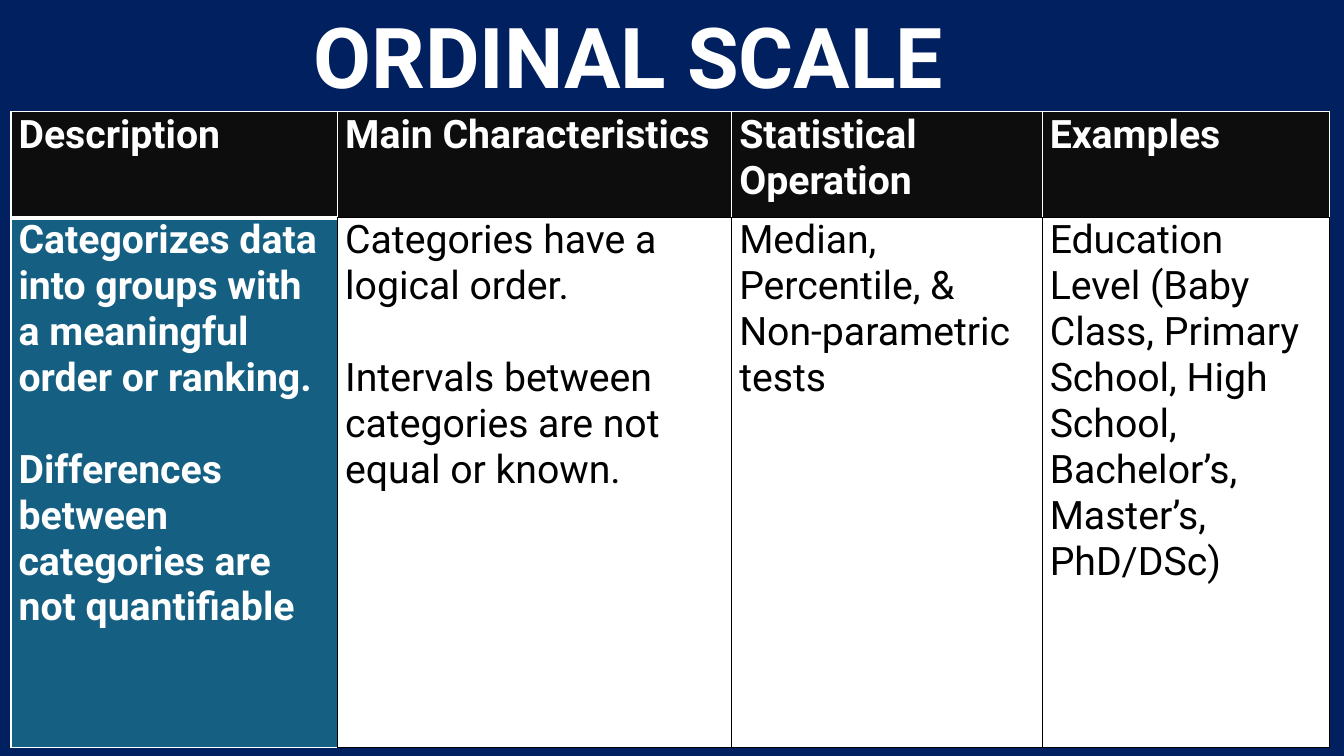
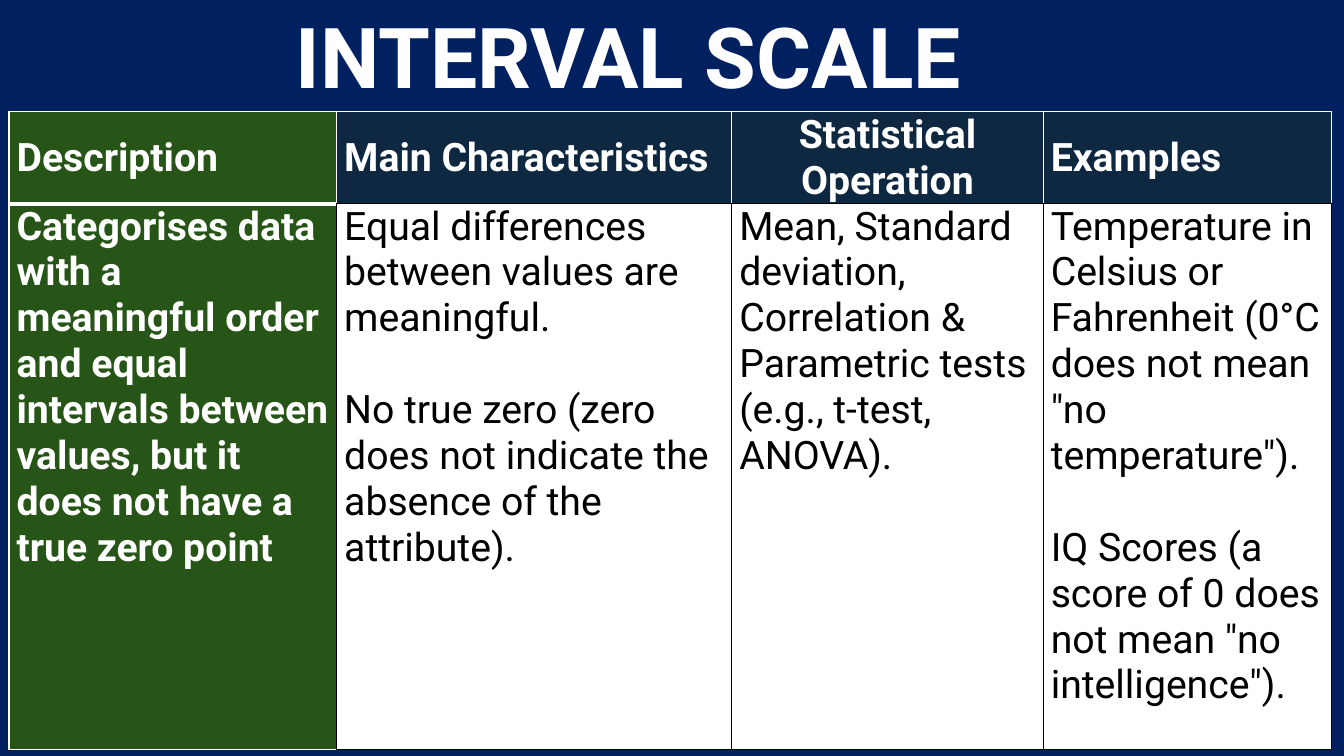
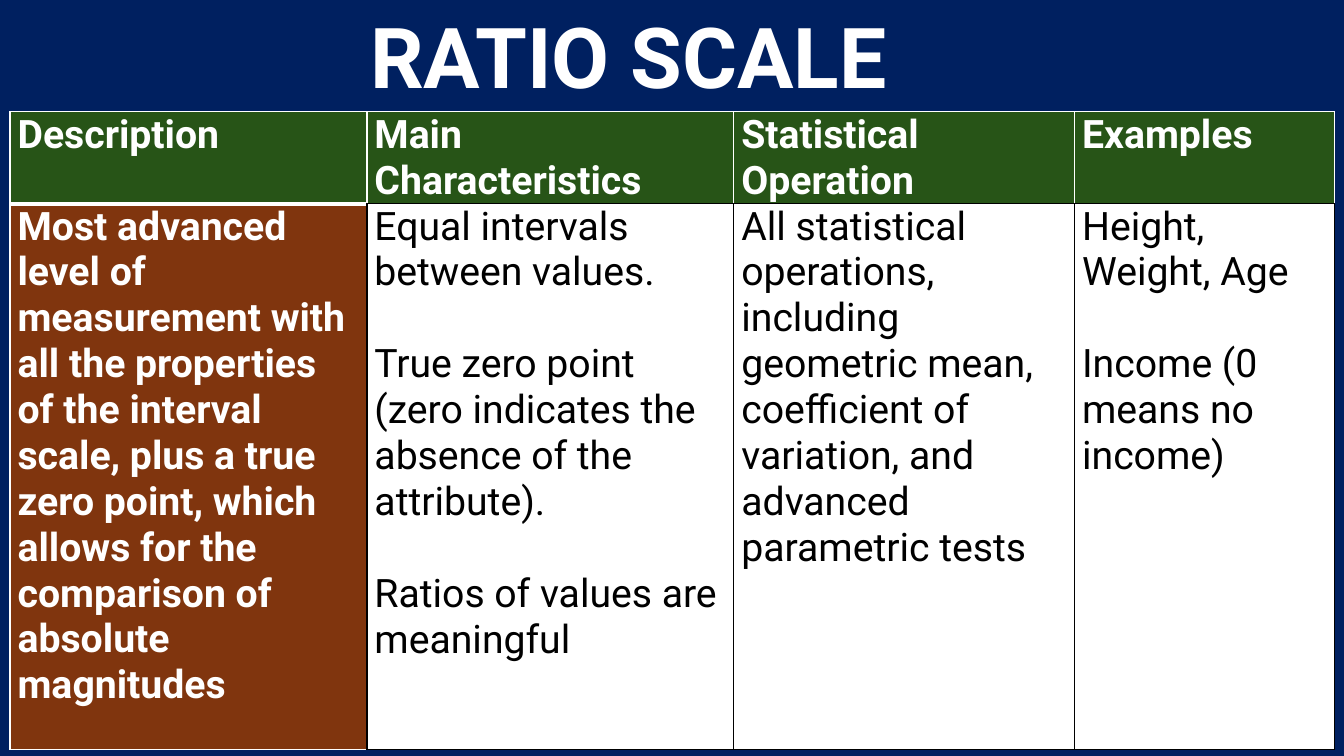
import dataclasses

import pptx
import pptx.dml.color
import pptx.enum.text
import pptx.oxml
import pptx.oxml.ns
import pptx.util

Pt = pptx.util.Pt
Align = pptx.enum.text.PP_ALIGN
Anchor = pptx.enum.text.MSO_ANCHOR


@dataclasses.dataclass(frozen=True)
class Theme:
    font: str = "Roboto"
    title: int = 60
    text: int = 28
    gap: float = 32.8
    inset: float = 5.4
    navy: str = "002060"
    white: str = "FFFFFF"
    black: str = "000000"
    coal: str = "0D0D0D"
    teal: str = "156082"
    green: str = "275417"
    ink: str = "0E2841"
    rust: str = "80350E"


@dataclasses.dataclass(frozen=True)
class Scale:
    """One slide: its title, table layout, colours and cell texts."""
    title: str
    left: float
    cols: tuple
    rows: tuple
    heads: tuple
    side: str
    body: tuple
    anchor: Anchor = Anchor.TOP
    center: tuple = ()


T = Theme()
TOP = 79.9
LABELS = ("Description", "Main Characteristics", "Statistical Operation",
          "Examples")

SCALES = (
    Scale(
        "ORDINAL SCALE", 7.9, (233.3, 281.5, 221.8, 205.2), (75.6, 378.7),
        (T.coal,) * 4, T.teal,
        (("Categorizes data into groups with a meaningful order or ranking.",
          "Differences between categories are not quantifiable"),
         ("Categories have a logical order.",
          "Intervals between categories are not equal or known."),
         ("Median, Percentile, & Non-parametric tests",),
         ("Education Level (Baby Class, Primary School, High School, "
          "Bachelor’s, Master’s, PhD/DSc)",))),
    Scale(
        "INTERVAL SCALE", 6.5, (234, 282.2, 222.5, 205.9), (65.7, 389.5),
        (T.green,) + (T.ink,) * 3, T.green,
        (("Categorises data with a meaningful order and equal intervals "
          "between values, but it does not have a true zero point",),
         ("Equal differences between values are meaningful.",
          "No true zero (zero does not indicate the absence of the "
          "attribute)."),
         ("Mean, Standard deviation, Correlation & Parametric tests "
          "(e.g., t-test, ANOVA).",),
         ('Temperature in Celsius or Fahrenheit (0°C does not mean '
          '"no temperature").',
          'IQ Scores (a score of 0 does not mean "no intelligence").')),
        Anchor.MIDDLE, (2,)),
    Scale(
        "RATIO SCALE", 7.2, (254.9, 262.1, 243.4, 185.8), (65.7, 389.5),
        (T.green,) * 4, T.rust,
        (("Most advanced level of measurement with all the properties of "
          "the interval scale, plus a true zero point, which allows for the "
          "comparison of absolute magnitudes",),
         ("Equal intervals between values.",
          "True zero point (zero indicates the absence of the attribute).",
          "Ratios of values are meaningful"),
         ("All statistical operations, including geometric mean, "
          "coefficient of variation, and advanced parametric tests",),
         ("Height, Weight, Age", "Income (0 means no income)"))),
)


def rgb(code):
    return pptx.dml.color.RGBColor.from_string(code)


def style(font, size, color, bold):
    font.name = T.font
    font.size = Pt(size)
    font.color.rgb = rgb(color)
    font.bold = bold


def edge(cell, **sides):
    """Draw cell borders; each side is a (colour, points) pair."""
    props = cell._tc.get_or_add_tcPr()
    for side in "LRTB":
        color, width = sides[side]
        props.append(pptx.oxml.parse_xml(
            f'<a:ln{side} {pptx.oxml.ns.nsdecls("a")} w="{Pt(width)}">'
            f'<a:solidFill><a:srgbClr val="{color}"/></a:solidFill>'
            f'</a:ln{side}>'))


def fill(cell, color):
    cell.fill.solid()
    cell.fill.fore_color.rgb = rgb(color)


def write(cell, texts, color, bold, align=Align.LEFT, anchor=Anchor.TOP):
    cell.margin_left = cell.margin_right = Pt(T.inset)
    cell.margin_top = cell.margin_bottom = 0
    cell.vertical_anchor = anchor
    frame = cell.text_frame
    for i, text in enumerate(texts):
        para = frame.add_paragraph() if i else frame.paragraphs[0]
        para.text = text
        para.alignment = align
        if i:
            para.space_before = Pt(T.gap)
        style(para.font, T.text, color, bold)


def add_title(slide, text):
    box = slide.shapes.title
    box.left, box.top, box.width, box.height = map(Pt, (57.6, 5.8, 782.6, 74))
    frame = box.text_frame
    frame.word_wrap = True
    frame.auto_size = pptx.enum.text.MSO_AUTO_SIZE.NONE
    frame.vertical_anchor = Anchor.BOTTOM
    para = frame.paragraphs[0]
    para.text = text
    para.alignment = Align.CENTER
    para.line_spacing = 0.9
    style(para.font, T.title, T.white, True)


def add_grid(slide, scale):
    table = slide.shapes.add_table(
        2, len(LABELS), Pt(scale.left), Pt(TOP),
        Pt(sum(scale.cols)), Pt(sum(scale.rows))).table
    table.horz_banding = False
    for row, height in zip(table.rows, scale.rows):
        row.height = Pt(height)
    light, dark, thick = (T.white, 1), (T.black, 1), (T.white, 3)
    for i, width in enumerate(scale.cols):
        table.columns[i].width = Pt(width)
        first = i == 0
        rule = thick if first else dark

        head = table.cell(0, i)
        edge(head, L=light, R=light, T=light, B=rule)
        fill(head, scale.heads[i])
        align = Align.CENTER if i in scale.center else Align.LEFT
        write(head, [LABELS[i]], T.white, True, align, scale.anchor)

        body = table.cell(1, i)
        side = light if first else dark
        edge(body, L=side, R=dark, T=rule, B=side)
        fill(body, scale.side if first else T.white)
        write(body, scale.body[i], T.white if first else T.black, first)


def main():
    deck = pptx.Presentation()
    deck.slide_width, deck.slide_height = Pt(960), Pt(540)
    back = deck.slide_master.background.fill
    back.solid()
    back.fore_color.rgb = rgb(T.navy)
    layout = deck.slide_layouts.get_by_name("Title Only")
    for scale in SCALES:
        slide = deck.slides.add_slide(layout)
        add_title(slide, scale.title)
        add_grid(slide, scale)
    deck.save("out.pptx")


if __name__ == "__main__":
    main()
